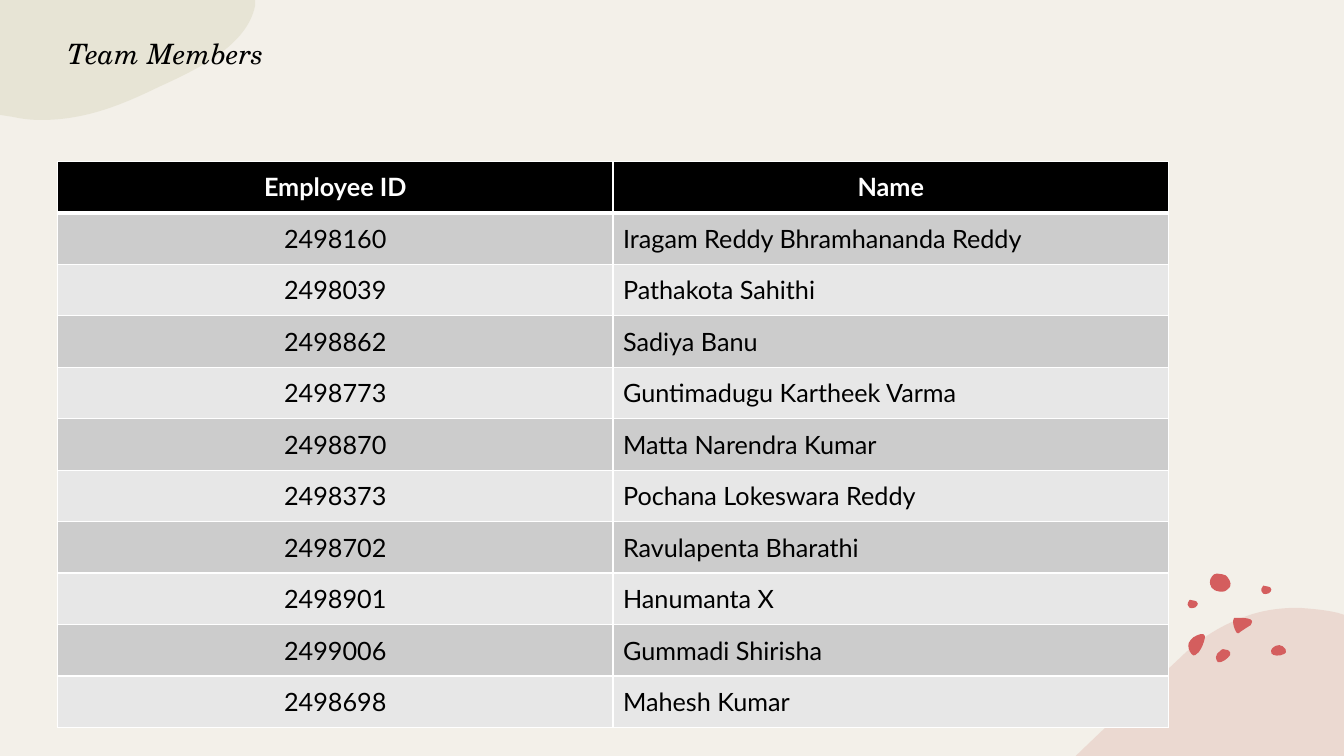
from lxml.etree import SubElement
from pptx import Presentation
from pptx.dml.color import RGBColor
from pptx.enum.text import MSO_ANCHOR, PP_ALIGN
from pptx.oxml.ns import qn
from pptx.util import Inches, Pt

CREAM = RGBColor(0xF3, 0xF0, 0xE9)
SAGE = RGBColor(0xDC, 0xD9, 0xC3)
BLUSH = RGBColor(0xE5, 0xC4, 0xBA)
CORAL = RGBColor(0xD4, 0x5E, 0x5E)
BLACK = RGBColor(0, 0, 0)
WHITE = RGBColor(0xFF, 0xFF, 0xFF)
DARK = RGBColor(0xCC, 0xCC, 0xCC)
LIGHT = RGBColor(0xE7, 0xE7, 0xE7)


def draw_blob(shapes, outline, color, alpha=None):
    """Outline: a start point, then lines (x, y) or curves (x1, y1, x2, y2, x, y)."""
    ends = [(Inches(part[-2]), Inches(part[-1])) for part in outline]
    form = shapes.build_freeform(*ends[0])
    form.add_line_segments(ends[1:], close=True)
    blob = form.convert_to_shape()
    # Bend the segments that have control points
    for seg, part in zip(list(blob._element.iter(qn("a:lnTo"))), outline[1:]):
        if len(part) == 6:
            end = seg[0]
            seg.tag = qn("a:cubicBezTo")
            for x, y in (part[:2], part[2:4]):
                point = SubElement(seg, qn("a:pt"))
                point.set("x", str(Inches(x) - blob.left))
                point.set("y", str(Inches(y) - blob.top))
            seg.append(end)
    blob.shadow.inherit = False
    blob.fill.solid()
    blob.fill.fore_color.rgb = color
    blob.line.fill.background()
    if alpha:
        tint = blob.fill._xPr.find(".//" + qn("a:srgbClr"))
        SubElement(tint, qn("a:alpha"), val=str(alpha * 1000))


def add_border(cell, side, width):
    line = SubElement(cell._tc.get_or_add_tcPr(), qn("a:ln" + side), w=str(Pt(width)))
    fill = SubElement(line, qn("a:solidFill"))
    SubElement(fill, qn("a:srgbClr"), val=str(WHITE))


prs = Presentation()
prs.slide_width = Inches(13.33)
prs.slide_height = Inches(7.5)
slide = prs.slides.add_slide(prs.slide_layouts[5])
slide.background.fill.solid()
slide.background.fill.fore_color.rgb = CREAM

# Corner blobs
draw_blob(slide.shapes, [
    (12.88, 6.03), (13.01, 6.04, 13.14, 6.05, 13.27, 6.08), (13.33, 6.1),
    (13.33, 7.5), (10.67, 7.5), (10.68, 7.49),
    (11.02, 7.16, 11.37, 6.84, 11.69, 6.54),
    (11.91, 6.32, 12.14, 6.19, 12.37, 6.11),
    (12.54, 6.05, 12.71, 6.03, 12.88, 6.03)], BLUSH, 50)
draw_blob(slide.shapes, [
    (0, 0), (2.53, 0), (2.53, 0.06), (2.45, 0.44, 2, 0.67, 1.58, 0.86),
    (1.23, 1.03, 0.86, 1.19, 0.41, 1.19),
    (0.31, 1.19, 0.22, 1.18, 0.13, 1.16), (0, 1.14)], SAGE, 50)

# Coral dots; the pebble is used twice
pebble = [(0, 0.05), (0, 0.05, 0, 0.01, 0.02, 0), (0.04, 0, 0.05, 0, 0.07, 0.01),
          (0.08, 0.01, 0.1, 0.02, 0.1, 0.04), (0.1, 0.05, 0.09, 0.07, 0.08, 0.07),
          (0.08, 0.07, 0.08, 0.08, 0.06, 0.08), (0.05, 0.08, 0.03, 0.09, 0.02, 0.08),
          (0.01, 0.06, 0, 0.06, 0, 0.05)]
dots = [
    [(12.13, 6.44), (12.15, 6.44, 12.16, 6.44, 12.18, 6.45),
     (12.2, 6.46, 12.21, 6.48, 12.2, 6.5), (12.18, 6.53, 12.12, 6.58, 12.08, 6.57),
     (12.07, 6.56, 12.06, 6.54, 12.06, 6.52), (12.06, 6.5, 12.08, 6.47, 12.1, 6.46),
     (12.11, 6.45, 12.12, 6.44, 12.13, 6.44)],
    [(11.91, 6.29), (11.93, 6.29, 11.95, 6.29, 11.95, 6.31),
     (11.95, 6.32, 11.95, 6.32, 11.95, 6.33), (11.94, 6.38, 11.92, 6.43, 11.89, 6.47),
     (11.87, 6.49, 11.84, 6.52, 11.82, 6.49), (11.79, 6.46, 11.78, 6.41, 11.79, 6.38),
     (11.8, 6.35, 11.82, 6.34, 11.84, 6.32), (11.85, 6.32, 11.88, 6.29, 11.91, 6.29)],
    [(12.69, 6.4), (12.71, 6.4, 12.74, 6.42, 12.75, 6.44),
     (12.76, 6.46, 12.76, 6.48, 12.73, 6.49), (12.7, 6.51, 12.62, 6.51, 12.61, 6.48),
     (12.6, 6.46, 12.61, 6.44, 12.62, 6.43), (12.64, 6.41, 12.66, 6.4, 12.69, 6.4)],
    [(12.01, 5.81), (12, 5.81, 11.99, 5.75, 12.02, 5.72),
     (12.04, 5.7, 12.04, 5.69, 12.07, 5.69), (12.1, 5.69, 12.14, 5.7, 12.16, 5.71),
     (12.18, 5.73, 12.22, 5.78, 12.2, 5.82), (12.17, 5.85, 12.16, 5.87, 12.12, 5.87),
     (12.09, 5.87, 12.04, 5.86, 12.03, 5.84), (12.01, 5.83, 12.01, 5.82, 12.01, 5.81)],
]
for left, top in [(12.51, 5.81), (11.78, 5.95)]:
    dots.append([[v + (top if i % 2 else left) for i, v in enumerate(part)]
                 for part in pebble])
dots.append(
    [(12.28, 6.13), (12.34, 6.13, 12.45, 6.13, 12.41, 6.19),
     (12.41, 6.2, 12.4, 6.21, 12.39, 6.21), (12.36, 6.23, 12.33, 6.25, 12.3, 6.27),
     (12.29, 6.28, 12.28, 6.29, 12.27, 6.28), (12.27, 6.28, 12.26, 6.27, 12.26, 6.27),
     (12.24, 6.23, 12.23, 6.2, 12.23, 6.16), (12.23, 6.15, 12.23, 6.14, 12.24, 6.13)])
group = slide.shapes.add_group_shape()
for dot in dots:
    draw_blob(group.shapes, dot, CORAL)

# Title, brought in front of the blobs
title = slide.shapes.title
slide.shapes._spTree.append(title._element)
title.left, title.top = Inches(0.57), Inches(0.08)
title.width, title.height = Inches(11.03), Inches(0.67)
frame = title.text_frame
frame.text = "Team Members"
frame.vertical_anchor = MSO_ANCHOR.BOTTOM
frame.paragraphs[0].alignment = PP_ALIGN.LEFT
font = frame.paragraphs[0].runs[0].font
font.name, font.size, font.italic = "TeX Gyre Schola", Pt(20), True
font.color.rgb = BLACK

# Table of members
rows = [
    ("Employee ID", "Name"),
    ("2498160", "Iragam Reddy Bhramhananda Reddy"),
    ("2498039", "Pathakota Sahithi"),
    ("2498862", "Sadiya Banu"),
    ("2498773", "Guntimadugu Kartheek Varma"),
    ("2498870", "Matta Narendra Kumar"),
    ("2498373", "Pochana Lokeswara Reddy"),
    ("2498702", "Ravulapenta Bharathi"),
    ("2498901", "Hanumanta X"),
    ("2499006", "Gummadi Shirisha"),
    ("2498698", "Mahesh Kumar"),
]
table = slide.shapes.add_table(len(rows), 2, Inches(0.57), Inches(1.6),
                               Inches(11.02), Inches(5.62)).table
for r, row in enumerate(rows):
    head = r == 0
    for c, text in enumerate(row):
        cell = table.cell(r, c)
        cell.text_frame.text = text
        cell.vertical_anchor = MSO_ANCHOR.MIDDLE
        for side in "LRTB":
            thick = (r, side) in [(0, "B"), (1, "T")]
            add_border(cell, side, 3 if thick else 1)
        cell.fill.solid()
        cell.fill.fore_color.rgb = BLACK if head else DARK if r % 2 else LIGHT
        para = cell.text_frame.paragraphs[0]
        para.alignment = PP_ALIGN.CENTER if head or c == 0 else PP_ALIGN.LEFT
        font = para.runs[0].font
        font.name, font.size, font.bold = "Lato", Pt(18), head
        font.color.rgb = WHITE if head else BLACK

prs.save("out.pptx")
